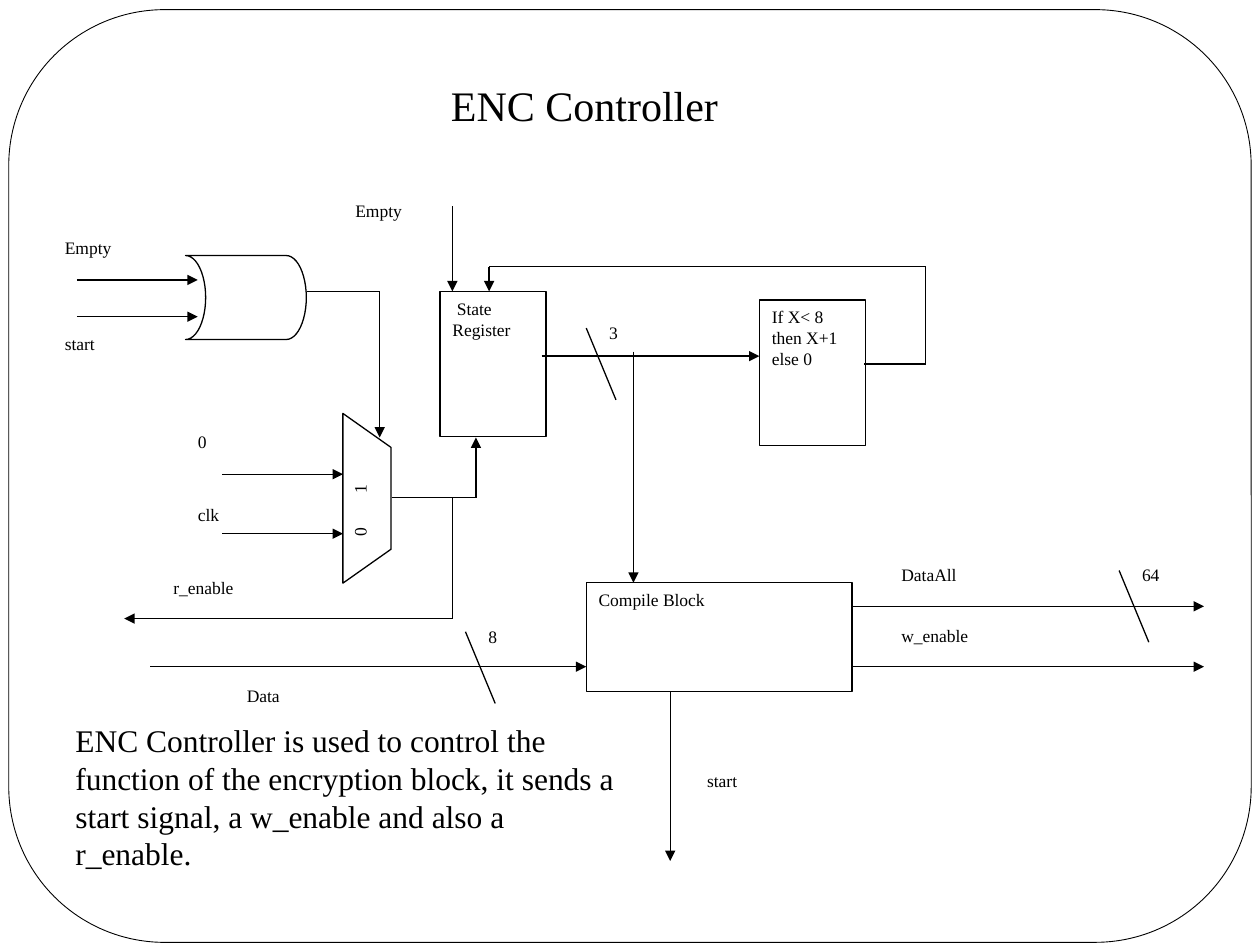
import pptx
import pptx.util
import pptx.oxml
import pptx.dml.color
import pptx.enum.shapes
import pptx.enum.text
import lxml.etree
import itertools

Pt = pptx.util.Pt
SHAPES = pptx.enum.shapes.MSO_SHAPE
ALIGN = pptx.enum.text.PP_ALIGN
ANCHOR = pptx.enum.text.MSO_ANCHOR
BLACK = pptx.dml.color.RGBColor(0, 0, 0)
WHITE = pptx.dml.color.RGBColor(255, 255, 255)
FONT = "Times New Roman"
LINE_WIDTH = 0.74


def write(shape, text, size=10, align=ALIGN.LEFT):
    frame = shape.text_frame
    frame.word_wrap = True
    frame.vertical_anchor = ANCHOR.TOP
    paragraph = frame.paragraphs[0]
    paragraph.alignment = align
    run = paragraph.add_run()
    run.text = text
    run.font.name = FONT
    run.font.size = Pt(size)
    run.font.color.rgb = BLACK
    return paragraph


def add_label(slide, origin, left, top, text, width=55, height=21, size=10, align=ALIGN.LEFT):
    box = slide.shapes.add_textbox(
        Pt(origin[0] + left), Pt(origin[1] + top), Pt(width), Pt(height))
    write(box, text, size, align)


def add_block(slide, origin, kind, left, top, width, height, rotation=0):
    shape = slide.shapes.add_shape(
        kind, Pt(origin[0] + left), Pt(origin[1] + top), Pt(width), Pt(height))
    shape.shadow.inherit = False
    shape.fill.background()
    shape.line.color.rgb = BLACK
    shape.line.width = Pt(LINE_WIDTH)
    shape.rotation = rotation
    return shape


def add_wire(slide, origin, *points, arrow=True):
    placed = [(Pt(origin[0] + x), Pt(origin[1] + y)) for x, y in points]
    for start, end in itertools.pairwise(placed):
        connector = slide.shapes.add_connector(
            pptx.enum.shapes.MSO_CONNECTOR.STRAIGHT, *start, *end)
        connector.line.color.rgb = BLACK
        connector.line.width = Pt(LINE_WIDTH)
        properties = connector._element.spPr
        lxml.etree.SubElement(properties, pptx.oxml.ns.qn("a:effectLst"))
    if arrow:
        line = properties.find(pptx.oxml.ns.qn("a:ln"))
        lxml.etree.SubElement(line, pptx.oxml.ns.qn("a:tailEnd"), type="triangle")


def add_bus_width(slide, origin, left, top, bits):
    add_wire(slide, origin, (left, top), (left + 17, top + 41), arrow=False)
    add_label(slide, origin, left + 6, top - 7, bits, 29, 27)


def add_frame(slide, origin):
    frame = add_block(slide, origin, SHAPES.ROUNDED_RECTANGLE, 0, 0, 710, 533)
    frame.adjustments[0] = 0.167
    frame.fill.solid()
    frame.fill.fore_color.rgb = WHITE
    frame.line.width = Pt(0.51)


def add_clock_select(slide, origin):
    add_block(slide, origin, SHAPES.FLOWCHART_STORED_DATA, 76, 15, 69, 48, 180)
    mux = add_block(slide, origin, SHAPES.FLOWCHART_MANUAL_OPERATION, 131.2, 140, 97, 27.5, 270)
    paragraph = write(mux, "0\t1")
    tabs = lxml.etree.SubElement(
        paragraph._p.get_or_add_pPr(), pptx.oxml.ns.qn("a:tabLst"))
    lxml.etree.SubElement(tabs, pptx.oxml.ns.qn("a:tab"), pos=str(Pt(25)), algn="l")

    for y in (29, 50):
        add_wire(slide, origin, (14, y), (83, y))
    for y in (140, 174):
        add_wire(slide, origin, (97, y), (166, y))
    add_wire(slide, origin, (145.5, 35.5), (187, 35.5), (187, 119))
    add_wire(slide, origin, (194, 153.5), (242, 153.5), (242, 119))
    add_wire(slide, origin, (228.5, 153.5), (228.5, 222.5), (41, 222.5))

    for left, top, text, width in (
        (0, 1, "Empty", 55),
        (0, 56, "start", 55),
        (76, 112, "0", 21),
        (76, 153.5, "clk", 48),
        (62, 195, "r_enable", 62),
    ):
        add_label(slide, origin, left, top, text, width)


def add_state_loop(slide, origin):
    for left, top, text in (
        (55.5, 55.5, " State Register"),
        (238, 60.5, "If X< 8 then X+1 else 0"),
    ):
        write(add_block(slide, origin, SHAPES.RECTANGLE, left, top, 60.5, 83), text)
    add_wire(slide, origin, (113.5, 92.5), (238, 92.5))
    add_wire(slide, origin, (298, 97), (333, 97), (333, 41.5), (83.5, 41.5), (83.5, 55.5))
    add_wire(slide, origin, (62.5, 7), (62.5, 55.5))
    add_label(slide, origin, 0, 0, "Empty")
    add_bus_width(slide, origin, 139, 76.5, "3")


def add_compile_stage(slide, origin):
    write(add_block(slide, origin, SHAPES.RECTANGLE, 249, 132, 152, 62), "Compile Block")
    for start, end in (
        ((276, 0), (276, 132)),
        ((0, 180), (249, 180)),
        ((297, 194), (297, 291)),
        ((401, 145.5), (602, 145.5)),
        ((401, 180), (602, 180)),
    ):
        add_wire(slide, origin, start, end)
    for left, top, text, width in (
        (311, 235.5, "start", 55),
        (422, 118, "DataAll", 62),
        (422, 152.5, "w_enable", 76),
        (48, 187, "Data", 55),
    ):
        add_label(slide, origin, left, top, text, width)
    add_bus_width(slide, origin, 553.5, 125, "64")
    add_bus_width(slide, origin, 180, 160, "8")


def add_captions(slide, origin):
    add_label(slide, origin, 125, 0, "ENC Controller", 346, 55, 24, ALIGN.CENTER)
    add_label(
        slide, origin, 0, 366.5,
        "ENC Controller is used to control the function of the encryption block, "
        "it sends a start signal, a w_enable and also a r_enable.",
        324, 73, 18)


presentation = pptx.Presentation()
presentation.slide_width = Pt(720)
presentation.slide_height = Pt(540)
slide = presentation.slides.add_slide(presentation.slide_layouts[6])
add_frame(slide, (5, 5.5))
add_clock_select(slide, (30, 131))
add_state_loop(slide, (196, 111))
add_compile_stage(slide, (86, 201))
add_captions(slide, (36, 42))
presentation.save("out.pptx")
